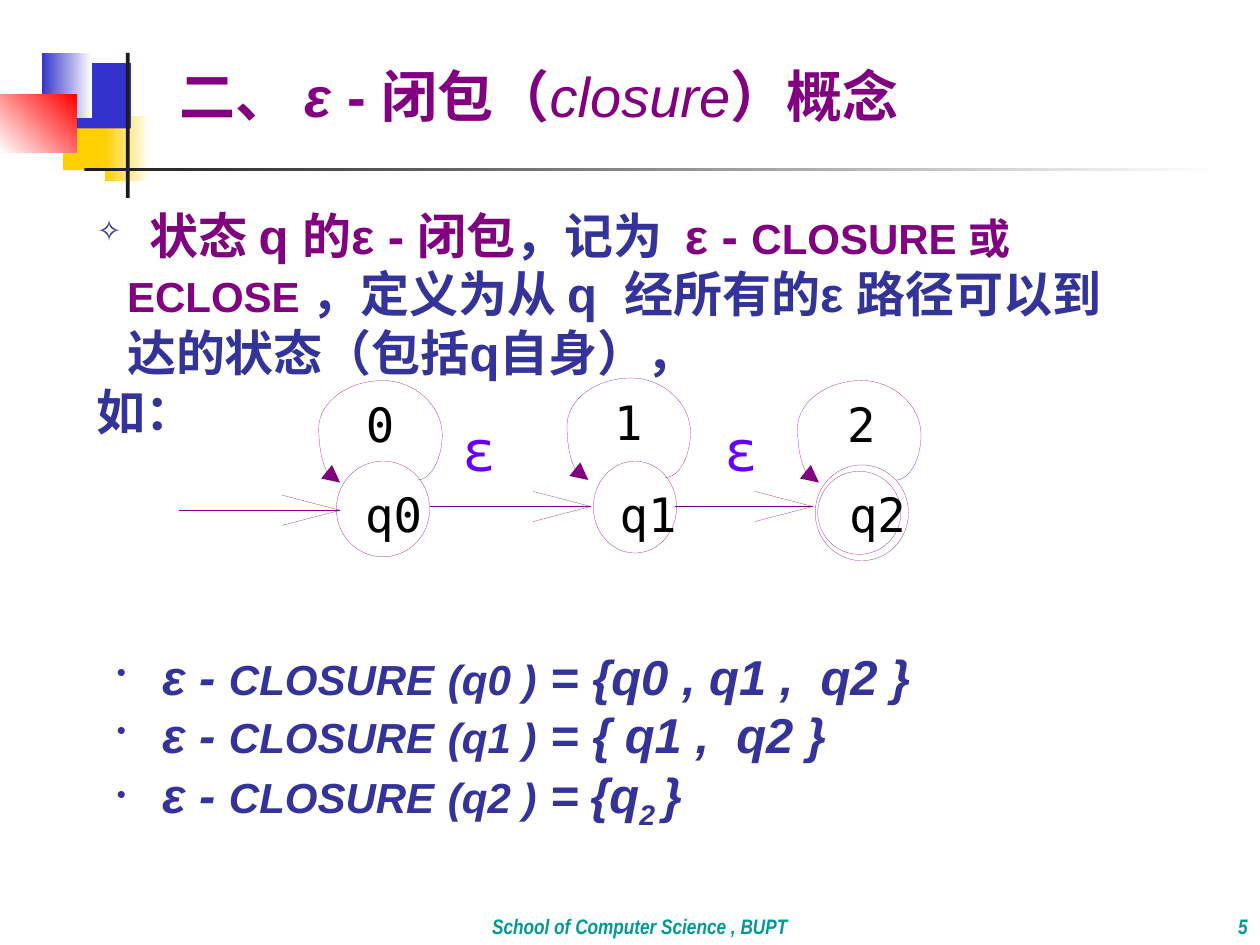
from dataclasses import dataclass

from lxml.etree import SubElement
from pptx import Presentation
from pptx.dml.color import RGBColor
from pptx.enum.shapes import MSO_CONNECTOR, MSO_SHAPE
from pptx.enum.text import MSO_ANCHOR, PP_ALIGN
from pptx.oxml.ns import qn
from pptx.util import Inches, Pt


@dataclass(frozen=True)
class Theme:
    purple: str = "800080"
    navy: str = "333399"
    teal: str = "009999"
    violet: str = "6600FF"
    black: str = "000000"
    white: str = "FFFFFF"
    gold: str = "FFCF01"
    blue: str = "3333CC"
    red: str = "FF0000"
    ink: str = "1C1C1C"
    sans: str = "Arial"
    narrow: str = "Arial Narrow"
    mono: str = "DejaVu Sans Mono"
    chinese: str = "Noto Sans CJK SC"
    title: int = 32
    body: int = 28
    small: int = 24
    state: int = 27
    footer: int = 12
    body_line: float = 33.6
    hairline: float = 0.1


THEME = Theme()

# left, top, width, height, colours (two make a gradient), gradient angle
DECORATION = [
    (0.5, 0.83, 0.48, 0.52, [THEME.gold], 0),
    (0.83, 0.92, 0.36, 0.52, [THEME.gold, THEME.white], 0),
    (0.58, 0.5, 0.46, 0.52, [THEME.blue], 0),
    (0.33, 0.42, 0.4, 0.52, [THEME.blue, THEME.white], 0),
    (0, 0.75, 0.61, 0.46, [THEME.white, THEME.red], 45),
    (1, 0.42, 0.03, 1.15, [THEME.ink], 0),
    (0.67, 1.33, 9, 0.03, [THEME.ink, THEME.white], 0),
]

# Each run: text, then what differs from the style of its box
LATIN = {"italic": True, "bold": False}
CJK = {"font": THEME.chinese}
PURPLE = {"color": THEME.purple}
SMALL = {"size": THEME.small}
TITLE = [
    ("二、 ", {}), ("ε ", {"italic": True}), ("- ", {}), ("闭包（", CJK),
    ("closure", LATIN), ("）", CJK), ("概念", {}),
]
DEFINITION = [
    ("\t", {}), ("状态 q 的ε - 闭包", PURPLE), ("，记为  ", {}),
    ("ε - ", PURPLE), ("CLOSURE 或ECLOSE ", PURPLE | SMALL),
    ("，定义为从 ", CJK), ("q  ", {}), ("经所有的", CJK), ("ε ", {}),
    ("路径可以到达的状态（包括", CJK), ("q", {}), ("自身），", CJK),
]
EXAMPLE = [("如：", CJK)]
# state, closure, space before in points (the subscript line needs more room)
CLOSURES = [
    ("q0", [(" = {q0 , q1 ,  q2 }", {})], 0),
    ("q1", [(" = { q1 ,  q2 }", {})], 0),
    ("q2", [(" =", {}), (" ", SMALL), ("{q", {}), ("2 ", {"baseline": -25}), ("}", {})], 5),
]

# Automaton: text and left, top
STATE_LABELS = [("q0", 2.85, 3.85), ("q1", 4.87, 3.85), ("q2", 6.69, 3.85)]
LOOP_LABELS = [("0", 2.89, 3.14), ("1", 4.86, 3.12), ("2", 6.71, 3.14)]
EPSILONS = [("ε", 3.62, 3.3), ("ε", 5.7, 3.3)]
CIRCLES = [(2.67, 3.66, 0.74, 0.76), (4.71, 3.66, 0.66, 0.73),
           (6.47, 3.69, 0.74, 0.76), (6.49, 3.74, 0.66, 0.66)]
ARROWS = [(1.42, 2.7, 4.05), (3.41, 4.69, 4.02), (5.36, 6.45, 4.02)]  # start, tip, height
BARB = (0.46, 0.12)
LOOP_ORIGINS = [(2.53, 3.02), (4.5, 3.0), (6.33, 3.02)]
LOOP_START = (0.78, 0.79)
LOOP_CURVES = [
    ((0.89, 0.79), (0.98, 0.62), (0.98, 0.43)),
    ((0.98, 0.2), (0.76, 0), (0.51, 0)),
    ((0.23, 0), (0, 0.17), (0, 0.38)),
    ((0, 0.62), (0.07, 0.81), (0.17, 0.81)),
]
CURVE_STEPS = 16


def rgb(color):
    return RGBColor.from_string(color)


def outline(shape):
    shape.line.color.rgb = rgb(THEME.purple)
    shape.line.width = Pt(THEME.hairline)


def add_decoration(slide, left, top, width, height, colors, angle):
    shape = slide.shapes.add_shape(
        MSO_SHAPE.RECTANGLE, *map(Inches, (left, top, width, height)))
    shape.shadow.inherit = False
    shape.line.fill.background()
    if len(colors) == 1:
        shape.fill.solid()
        shape.fill.fore_color.rgb = rgb(colors[0])
        return
    shape.fill.gradient()
    shape.fill.gradient_angle = angle
    for stop, color in zip(shape.fill.gradient_stops, colors):
        stop.color.rgb = rgb(color)


def add_box(slide, left, top, width, height, anchor=MSO_ANCHOR.TOP, tight=False):
    """Return the text frame of a new box; a tight one has no margins or wrap."""
    frame = slide.shapes.add_textbox(*map(Inches, (left, top, width, height))).text_frame
    frame.word_wrap = not tight
    frame.vertical_anchor = anchor
    if tight:
        frame.margin_left = frame.margin_right = frame.margin_top = frame.margin_bottom = 0
    return frame


def add_runs(paragraph, runs, **style):
    for text, changes in runs:
        look = style | changes
        run = paragraph.add_run()
        run.text = text
        run.font.name = look.get("font", THEME.sans)
        run.font.size = Pt(look["size"])
        run.font.color.rgb = rgb(look["color"])
        run.font.bold = look.get("bold", True)
        run.font.italic = look.get("italic", False)
        properties = run.font._element
        SubElement(properties, qn("a:ea")).set("typeface", THEME.chinese)
        if "baseline" in look:
            properties.set("baseline", str(look["baseline"] * 1000))


def set_bullet(paragraph, character, percent, margin, hanging, tab=None):
    properties = paragraph._p.get_or_add_pPr()
    properties.set("marL", str(Inches(margin)))
    properties.set("indent", str(-Inches(hanging)))
    color = SubElement(properties, qn("a:buClr"))
    SubElement(color, qn("a:srgbClr")).set("val", THEME.navy)
    SubElement(properties, qn("a:buSzPct")).set("val", str(percent * 1000))
    SubElement(properties, qn("a:buChar")).set("char", character)
    if tab:
        stop = SubElement(SubElement(properties, qn("a:tabLst")), qn("a:tab"))
        stop.set("pos", str(Inches(tab)))
        stop.set("algn", "l")


def add_line(slide, start, end):
    line = slide.shapes.add_connector(
        MSO_CONNECTOR.STRAIGHT, *map(Inches, (*start, *end)))
    outline(line)
    SubElement(line._element.spPr, qn("a:effectLst"))


def loop_points():
    """Sample the Bezier curves of a self-loop, relative to its origin."""
    points = [LOOP_START]
    for first, second, end in LOOP_CURVES:
        start = points[-1]
        for step in range(1, CURVE_STEPS + 1):
            t = step / CURVE_STEPS
            u = 1 - t
            points.append(tuple(
                u**3 * a + 3 * u * u * t * b + 3 * u * t * t * c + t**3 * d
                for a, b, c, d in zip(start, first, second, end)))
    return points


def add_loop(slide, left, top):
    points = [(Inches(left + x), Inches(top + y)) for x, y in loop_points()]
    builder = slide.shapes.build_freeform(*points[0])
    builder.add_line_segments(points[1:], close=False)
    loop = builder.convert_to_shape()
    loop.shadow.inherit = False
    loop.fill.background()
    outline(loop)
    arrowhead = SubElement(loop.line._get_or_add_ln(), qn("a:tailEnd"))
    for name, value in (("type", "triangle"), ("w", "lg"), ("len", "lg")):
        arrowhead.set(name, value)


def add_automaton(slide):
    for circle in CIRCLES:
        shape = slide.shapes.add_shape(MSO_SHAPE.OVAL, *map(Inches, circle))
        shape.shadow.inherit = False
        shape.fill.background()
        outline(shape)
    for start, tip, height in ARROWS:
        add_line(slide, (start, height), (tip, height))
        for side in (1, -1):
            add_line(slide, (tip, height), (tip - BARB[0], height + side * BARB[1]))
    for origin in LOOP_ORIGINS:
        add_loop(slide, *origin)
    for labels, width, size, color in (
            (STATE_LABELS, 0.5, THEME.state, THEME.black),
            (LOOP_LABELS, 0.24, THEME.state, THEME.black),
            (EPSILONS, 0.32, THEME.title, THEME.violet)):
        for text, left, top in labels:
            paragraph = add_box(slide, left, top, width, 0.45, tight=True).paragraphs[0]
            paragraph.alignment = PP_ALIGN.RIGHT
            add_runs(paragraph, [(text, {})], font=THEME.mono, size=size,
                     color=color, bold=False)


def add_texts(slide):
    paragraph = add_box(slide, 1.33, 0.25, 7.75, 0.83, MSO_ANCHOR.BOTTOM).paragraphs[0]
    paragraph.line_spacing = 0.9
    add_runs(paragraph, TITLE, size=THEME.title, color=THEME.purple)

    frame = add_box(slide, 0.67, 1.58, 8.42, 1.97)
    set_bullet(frame.paragraphs[0], "✧", 60, 0.24, 0.24, tab=0.42)
    for paragraph, runs in ((frame.paragraphs[0], DEFINITION), (frame.add_paragraph(), EXAMPLE)):
        paragraph.line_spacing = Pt(THEME.body_line)
        add_runs(paragraph, runs, size=THEME.body, color=THEME.navy)

    frame = add_box(slide, 0.58, 5.08, 8.42, 1.57)
    for index, (state, result, space) in enumerate(CLOSURES):
        paragraph = frame.add_paragraph() if index else frame.paragraphs[0]
        set_bullet(paragraph, "•", 55, 0.5, 0.25)
        paragraph.line_spacing = Pt(THEME.body_line)
        paragraph.space_before = Pt(space)
        runs = [(" ε - ", {}), ("CLOSURE", SMALL), (" ", {}), (f"({state} )", SMALL), *result]
        add_runs(paragraph, runs, size=THEME.body, color=THEME.navy, italic=True)

    for text, left, width, alignment, spacing in (
            ("5", 8.33, 1.67, PP_ALIGN.RIGHT, 1.0),
            ("School of Computer Science , BUPT", 1.58, 7, PP_ALIGN.CENTER, 1.1)):
        paragraph = add_box(slide, left, 7, width, 0.5, MSO_ANCHOR.BOTTOM).paragraphs[0]
        paragraph.alignment = alignment
        paragraph.line_spacing = spacing
        add_runs(paragraph, [(text, {})], font=THEME.narrow, size=THEME.footer,
                 color=THEME.teal, italic=True)


def main():
    presentation = Presentation()
    presentation.slide_width, presentation.slide_height = Inches(10), Inches(7.5)
    slide = presentation.slides.add_slide(presentation.slide_layouts[6])
    for part in DECORATION:
        add_decoration(slide, *part)
    add_texts(slide)
    add_automaton(slide)
    presentation.save("out.pptx")


if __name__ == "__main__":
    main()
